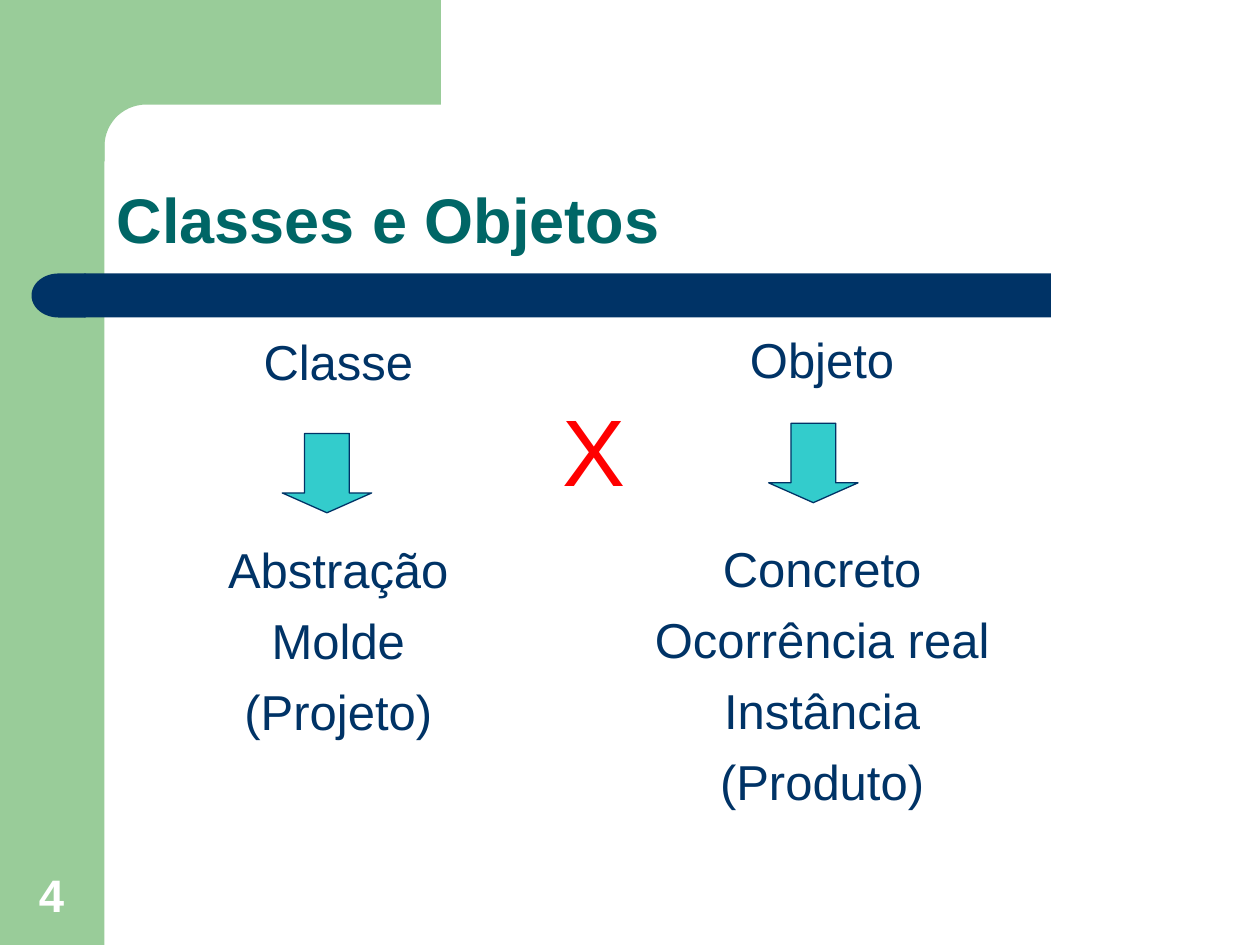
import math

from pptx import Presentation
from pptx import util as u
from pptx.dml.color import RGBColor
from pptx.enum import shapes, text

GREEN, NAVY, TEAL = "99CC99", "003366", "006666"
CYAN, RED, WHITE = "33CCCC", "FF0000", "FFFFFF"
SHAPE = shapes.MSO_SHAPE
ALIGN = text.PP_ALIGN
ANCHOR = text.MSO_ANCHOR


def color(hex_code):
    return RGBColor.from_string(hex_code)


class SlidePainter:
    def __init__(self, page, font="Arial"):
        self.page = page
        self.font = font

    def paint(self, shape, fill, line=None):
        shape.shadow.inherit = False
        shape.fill.solid()
        shape.fill.fore_color.rgb = color(fill)
        if line:
            shape.line.color.rgb = color(line)
            shape.line.width = u.Pt(0.75)
        else:
            shape.line.fill.background()

    def shape(self, kind, place, fill, line=None, adjustments=()):
        shape = self.page.shapes.add_shape(kind, *map(u.Inches, place))
        for index, value in enumerate(adjustments):
            shape.adjustments[index] = value
        self.paint(shape, fill, line)
        return shape

    def outline(self, points, fill):
        corners = [(u.Inches(x), u.Inches(y)) for x, y in points]
        builder = self.page.shapes.build_freeform(*corners[0])
        builder.add_line_segments(corners[1:], close=True)
        self.paint(builder.convert_to_shape(), fill)

    def text(self, place, lines, size, ink, bold=False, align=ALIGN.LEFT,
             anchor=ANCHOR.TOP, wrap=True, spacing=None):
        """Write one paragraph per line; spacing lists points before each."""
        box = self.page.shapes.add_textbox(*map(u.Inches, place))
        frame = box.text_frame
        frame.word_wrap = wrap
        frame.vertical_anchor = anchor
        frame.text = "\n".join(lines)
        for index, para in enumerate(frame.paragraphs):
            para.alignment = align
            para.font.name = self.font
            para.font.size = u.Pt(size)
            para.font.bold = bold
            para.font.color.rgb = color(ink)
            if spacing:
                para.space_before = u.Pt(spacing[index])
        return box

    def column(self, left, top, heading, details):
        """Write a heading, room for an arrow, then the detail lines."""
        spacing = [3, 85.5] + [7] * (len(details) - 1)
        self.text((left, top, 3.53, 4.07), [heading] + details, 28, NAVY,
                  align=ALIGN.CENTER, spacing=spacing)


def draw_frame(painter):
    painter.shape(SHAPE.RECTANGLE, (0, 0, 0.83, 7.5), GREEN)
    radius, edge = 0.33, 0.83
    center = edge + radius
    angles = [math.radians(degrees) for degrees in range(0, 91, 6)]
    curve = [(center - radius * math.sin(a), center - radius * math.cos(a))
             for a in angles]
    painter.outline([(3.5, 0), (3.5, edge), *curve, (edge, 1.28),
                     (0.5, 1.28), (0.5, 0)], GREEN)
    painter.shape(SHAPE.RECTANGLE, (0.67, 2.17, 7.67, 0.35), NAVY)
    cap = painter.shape(SHAPE.FLOWCHART_DELAY, (0.25, 2.17, 0.43, 0.35), NAVY)
    cap.rotation = 180


def main():
    deck = Presentation()
    deck.slide_width, deck.slide_height = u.Inches(10), u.Inches(7.5)
    page = deck.slides.add_slide(deck.slide_layouts[6])
    painter = SlidePainter(page)

    draw_frame(painter)
    painter.text((0.09, 6.83, 0.64, 0.53), ["4"], 26, WHITE, bold=True,
                 align=ALIGN.CENTER, anchor=ANCHOR.BOTTOM)
    painter.text((0.83, 0.83, 8.67, 1.25), ["Classes e Objetos"], 36, TEAL,
                 bold=True, anchor=ANCHOR.BOTTOM)
    painter.column(0.92, 2.58, "Classe", ["Abstração", "Molde", "(Projeto)"])
    painter.column(4.76, 2.57, "Objeto", ["Concreto", "Ocorrência real",
                                          "Instância", "(Produto)"])
    for left, top in ((2.24, 3.44), (6.1, 3.36)):
        painter.shape(SHAPE.DOWN_ARROW, (left, top, 0.71, 0.63), CYAN, NAVY,
                      adjustments=(0.5, 0.25))
    painter.text((4.37, 3.06, 0.7, 1), ["X"], 54, RED, wrap=False)

    deck.save("out.pptx")


if __name__ == "__main__":
    main()
